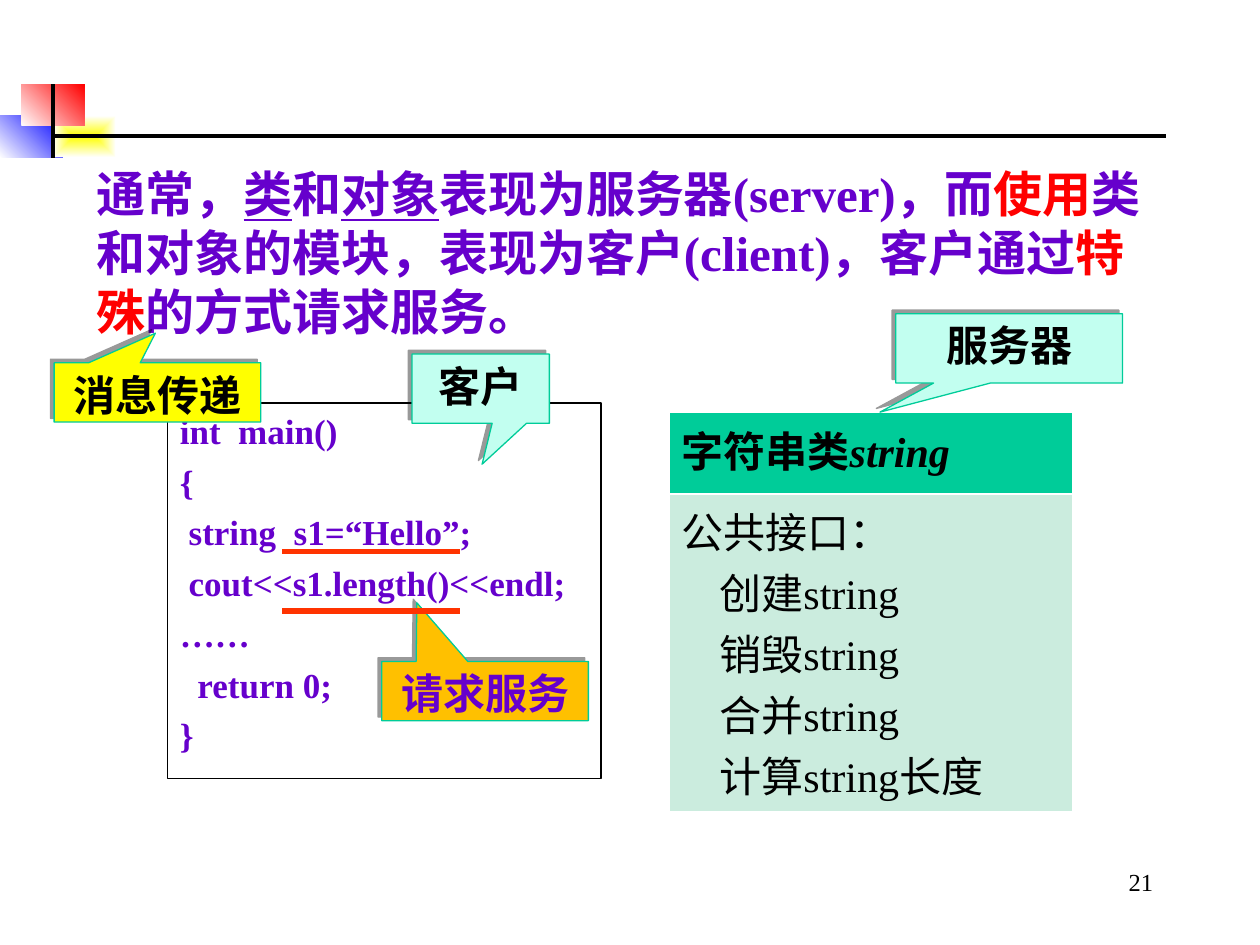
from dataclasses import dataclass

import pptx
import pptx.dml.color
import pptx.enum.shapes
import pptx.enum.text
import pptx.oxml
import pptx.oxml.ns
import pptx.util
from pptx.util import Inches

Align = pptx.enum.text.PP_ALIGN
NS = pptx.oxml.ns.nsdecls("a")


@dataclass(frozen=True)
class Theme:
    serif: str = "Times New Roman"
    sans: str = "Noto Sans CJK SC"
    black: str = "000000"
    white: str = "FFFFFF"
    purple: str = "6600CC"
    red: str = "FF0000"
    blue: str = "0000FF"
    yellow: str = "FFFF00"
    green: str = "00CC99"
    pale_green: str = "CBECDE"
    mint: str = "C2FFF0"
    amber: str = "FFC000"
    underline: str = "FF3300"
    intro_size: int = 28
    label_size: int = 24
    code_size: int = 20
    number_size: int = 14


THEME = Theme()


@dataclass(frozen=True)
class Box:
    left: float
    top: float
    width: float
    height: float

    def lengths(self) -> tuple:
        return tuple(Inches(v) for v in (self.left, self.top, self.width, self.height))


@dataclass(frozen=True)
class Phrase:
    text: str
    color: str = THEME.purple
    underline: bool = False


@dataclass(frozen=True)
class Callout:
    text: str
    box: Box
    tip: tuple[float, float]
    fill: str
    color: str = THEME.black
    font: str = THEME.serif


def rgb(value: str) -> pptx.dml.color.RGBColor:
    return pptx.dml.color.RGBColor.from_string(value)


def style_run(run, size: int, color: str, bold: bool = False, font: str = THEME.serif) -> None:
    run.font.size = pptx.util.Pt(size)
    run.font.bold = bold
    run.font.name = font
    run.font.color.rgb = rgb(color)
    east_asian = pptx.oxml.parse_xml(f'<a:ea {NS} typeface="{THEME.sans}"/>')
    run.font._element.find(pptx.oxml.ns.qn("a:latin")).addnext(east_asian)


def style_text(frame, size: int, color: str, bold: bool = False,
               align=Align.LEFT, font: str = THEME.serif) -> None:
    frame.word_wrap = True
    frame.vertical_anchor = pptx.enum.text.MSO_ANCHOR.TOP
    for paragraph in frame.paragraphs:
        paragraph.alignment = align
        for run in paragraph.runs:
            style_run(run, size, color, bold, font)


def add_line(slide, start: tuple[float, float], end: tuple[float, float],
             color: str, width: float) -> None:
    line = slide.shapes.add_connector(
        pptx.enum.shapes.MSO_CONNECTOR.STRAIGHT, *(Inches(v) for v in start + end))
    line.line.color.rgb = rgb(color)
    line.line.width = pptx.util.Pt(width)
    line._element.spPr.append(pptx.oxml.parse_xml(f"<a:effectLst {NS}/>"))


def add_gradient_block(slide, box: Box, first: str, last: str, direction: str) -> None:
    block = slide.shapes.add_shape(pptx.enum.shapes.MSO_SHAPE.RECTANGLE, *box.lengths())
    block.shadow.inherit = False
    block.line.fill.background()
    gradient = pptx.oxml.parse_xml(
        f'<a:gradFill {NS} rotWithShape="1"><a:gsLst>'
        f'<a:gs pos="0"><a:srgbClr val="{first}"/></a:gs>'
        f'<a:gs pos="100000"><a:srgbClr val="{last}"/></a:gs>'
        f'</a:gsLst>{direction}</a:gradFill>')
    block._element.spPr.find(pptx.oxml.ns.qn("a:prstGeom")).addnext(gradient)


def add_callout(slide, callout: Callout) -> None:
    bubble = slide.shapes.add_shape(
        pptx.enum.shapes.MSO_SHAPE.RECTANGULAR_CALLOUT, *callout.box.lengths())
    bubble.adjustments[0], bubble.adjustments[1] = callout.tip
    bubble.fill.solid()
    bubble.fill.fore_color.rgb = rgb(callout.fill)
    bubble.line.color.rgb = rgb(THEME.green)
    bubble.line.width = pptx.util.Pt(0.75)
    bubble.shadow.inherit = False
    bubble._element.spPr.find(pptx.oxml.ns.qn("a:effectLst")).append(pptx.oxml.parse_xml(
        f'<a:outerShdw {NS} dist="{pptx.util.Pt(3)}" dir="13500000" algn="ctr" rotWithShape="0">'
        f'<a:srgbClr val="{THEME.black}"><a:alpha val="40000"/></a:srgbClr></a:outerShdw>'))
    bubble.text_frame.text = callout.text
    style_text(bubble.text_frame, THEME.label_size, callout.color, True, Align.CENTER, callout.font)


def paint_cell(cell, fill: str, borders: dict[str, float]) -> None:
    properties = cell._tc.get_or_add_tcPr()
    for side, width in borders.items():
        properties.append(pptx.oxml.parse_xml(
            f'<a:ln{side} {NS} w="{pptx.util.Pt(width)}"><a:solidFill>'
            f'<a:srgbClr val="{THEME.white}"/></a:solidFill></a:ln{side}>'))
    cell.fill.solid()
    cell.fill.fore_color.rgb = rgb(fill)


def add_class_table(slide, box: Box, header_height: float, operations: list[str]) -> None:
    table = slide.shapes.add_table(2, 1, *box.lengths()).table
    table.rows[0].height = Inches(header_height)
    table.rows[1].height = Inches(box.height - header_height)
    header, interface = table.cell(0, 0), table.cell(1, 0)
    thin, thick = 0.45, 1.47
    paint_cell(header, THEME.green, {"L": thin, "R": thin, "T": thin, "B": thick})
    paint_cell(interface, THEME.pale_green, {"L": thin, "R": thin, "T": thick, "B": thin})

    header.text_frame.text = "字符串类"
    class_name = header.text_frame.paragraphs[0].add_run()
    class_name.text = "string"
    style_text(header.text_frame, THEME.label_size, THEME.black, True)
    class_name.font.italic = True

    interface.text_frame.text = "\n".join(["公共接口："] + operations)
    style_text(interface.text_frame, THEME.label_size, THEME.black)
    for operation in interface.text_frame.paragraphs[1:]:
        operation._p.get_or_add_pPr().set("marL", str(Inches(0.3)))


def add_intro(slide, box: Box, phrases: list[Phrase]) -> None:
    intro = slide.shapes.add_textbox(*box.lengths()).text_frame
    intro.word_wrap = True
    paragraph = intro.paragraphs[0]
    for phrase in phrases:
        run = paragraph.add_run()
        run.text = phrase.text
        style_run(run, THEME.intro_size, phrase.color, True)
        run.font.underline = phrase.underline


def add_code(slide, box: Box, code: list[str]) -> None:
    panel = slide.shapes.add_shape(pptx.enum.shapes.MSO_SHAPE.RECTANGLE, *box.lengths())
    panel.shadow.inherit = False
    panel.fill.background()
    panel.line.color.rgb = rgb(THEME.black)
    panel.line.width = pptx.util.Pt(1)
    panel.text_frame.text = "\n".join(code)
    style_text(panel.text_frame, THEME.code_size, THEME.purple, True)
    for statement in panel.text_frame.paragraphs[1:]:
        statement.space_before = pptx.util.Pt(5)


def main() -> None:
    deck = pptx.Presentation()
    deck.slide_width, deck.slide_height = Inches(10), Inches(7.5)
    slide = deck.slides.add_slide(deck.slide_layouts[6])

    # Corner decoration and rules
    diagonal = '<a:lin ang="18900000" scaled="1"/>'
    from_center = ('<a:path path="rect"><a:fillToRect l="50000" t="50000" '
                   'r="50000" b="50000"/></a:path>')
    for left, top, first, last, direction in (
            (0, 0.92, THEME.white, THEME.blue, diagonal),
            (0.42, 0.92, THEME.yellow, THEME.white, from_center),
            (0.17, 0.67, THEME.white, THEME.red, diagonal)):
        add_gradient_block(slide, Box(left, top, 0.5, 0.33), first, last, direction)
    add_line(slide, (0.42, 1.08), (9.25, 1.08), THEME.black, 2.5)
    add_line(slide, (0.42, 0.67), (0.42, 1.25), THEME.black, 2.5)

    # Slide number
    number = slide.shapes.add_textbox(*Box(7.17, 6.83, 2.08, 0.5).lengths()).text_frame
    number.text = "21"
    style_text(number, THEME.number_size, THEME.black, align=Align.RIGHT)

    # Introduction, class table and client code
    add_intro(slide, Box(0.67, 1.25, 8.71, 1.95), [
        Phrase("通常，"), Phrase("类", underline=True), Phrase("和"),
        Phrase("对象", underline=True), Phrase("表现为服务器(server)，而"),
        Phrase("使用", THEME.red), Phrase("类和对象的模块，表现为客户(client)，客户通过"),
        Phrase("特殊", THEME.red), Phrase("的方式请求服务。")])
    add_class_table(slide, Box(5.31, 3.27, 3.2, 3.17), 0.65,
                    ["创建string", "销毁string", "合并string", "计算string长度"])
    add_code(slide, Box(1.33, 3.2, 3.44, 2.98), [
        "int  main()", "{", " string  s1=“Hello”;", " cout<<s1.length()<<endl;",
        "……", "  return 0;", "}"])

    # Callouts and message underlines
    add_callout(slide, Callout("服务器", Box(7.11, 2.49, 1.8, 0.55), (-0.57, 0.92),
                               THEME.mint, font=THEME.sans))
    add_callout(slide, Callout("客户", Box(3.27, 2.81, 1.09, 0.55), (0.01, 1.09),
                               THEME.mint, font=THEME.sans))
    add_callout(slide, Callout("请求服务", Box(3.03, 5.25, 1.64, 0.47), (-0.33, -1.49),
                               THEME.amber, THEME.purple))
    for y in (4.85, 4.38):
        add_line(slide, (2.24, y), (3.65, y), THEME.underline, 3)
    add_callout(slide, Callout("消息传递", Box(0.43, 2.88, 1.64, 0.47), (-0.01, -1),
                               THEME.yellow))

    deck.save("out.pptx")


if __name__ == "__main__":
    main()
